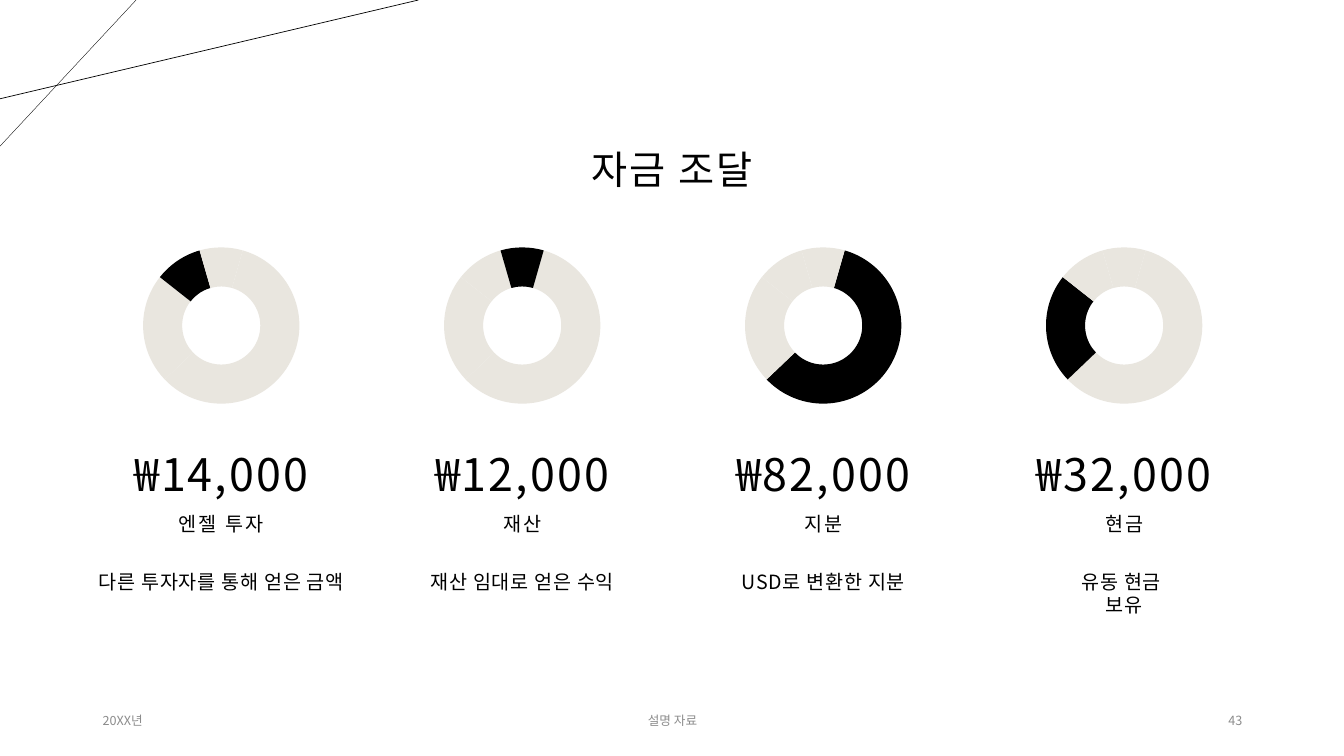
from lxml.etree import SubElement
from pptx import Presentation
from pptx.chart.data import CategoryChartData
from pptx.dml.color import RGBColor
from pptx.enum.chart import XL_CHART_TYPE as ChartType
from pptx.enum.shapes import MSO_CONNECTOR as Connector
from pptx.enum.text import MSO_ANCHOR as Anchor, PP_ALIGN as Align
from pptx.oxml import parse_xml
from pptx.oxml.ns import nsdecls, qn
from pptx.util import Inches, Pt

COLORS = {"ink": "000000", "ring": "E9E6DF", "footer": "8C8C8C"}
TEXT_FONT = "Noto Sans CJK KR"
CHART_FONT = "Lato"

TITLE = "자금 조달"
SHARES = {"1": 59, "2": 23, "3": 10, "4": 9}
SOURCES = [
    ("₩14,000", "엔젤 투자", "다른 투자자를 통해 얻은 금액", "3"),
    ("₩12,000", "재산", "재산 임대로 얻은 수익", "4"),
    ("₩82,000", "지분", "USD로 변환한 지분", "1"),
    ("₩32,000", "현금", "유동 현금 \n보유", "2"),
]
FOOTERS = [
    ("20XX년", 0.92, 3, Align.LEFT),
    ("설명 자료", 4.42, 4.5, Align.CENTER),
    ("43", 9.42, 3, Align.RIGHT),
]
CORNER_LINES = [((1.35, 0), (0, 1.45), 0.25), ((4.15, 0), (0, 0.98), 0.5)]

COLUMN_LEFT, COLUMN_STEP, COLUMN_WIDTH = 0.92, 2.985, 2.55
CHART_TOP, CHART_WIDTH, CHART_HEIGHT = 2.32, 2.03, 1.82
RING_SIZE = 1.55


def rgb(name):
    return RGBColor.from_string(COLORS[name])


def add_text(slide, text, box, size, align=Align.CENTER, anchor=Anchor.MIDDLE,
             color="ink", tracking=0, line_spacing=None, before=0, inset=0.1):
    text_box = slide.shapes.add_textbox(*map(Inches, box))
    frame = text_box.text_frame
    frame.word_wrap = True
    frame.vertical_anchor = anchor
    frame.margin_left = frame.margin_right = Inches(inset)
    paragraph = frame.paragraphs[0]
    paragraph.text = text
    paragraph.alignment = align
    paragraph.line_spacing = line_spacing
    paragraph.space_before = Pt(before)
    paragraph.font.size = Pt(size)
    paragraph.font.name = TEXT_FONT
    paragraph.font.color.rgb = rgb(color)
    defaults = paragraph._p.pPr.find(qn("a:defRPr"))
    defaults.set("spc", str(int(tracking * 100)))
    SubElement(defaults, qn("a:ea"), typeface=TEXT_FONT)


def add_corner_line(slide, start, end, width):
    line = slide.shapes.add_connector(
        Connector.STRAIGHT, *map(Inches, start + end))
    line.line.color.rgb = rgb("ink")
    line.line.width = Pt(width)
    SubElement(line._element.spPr, qn("a:effectLst"))


def add_ring(slide, left, highlighted):
    data = CategoryChartData()
    data.categories = list(SHARES)
    data.add_series("Series 1", list(SHARES.values()))
    box = (left, CHART_TOP, CHART_WIDTH, CHART_HEIGHT)
    chart = slide.shapes.add_chart(
        ChartType.DOUGHNUT, *map(Inches, box), data).chart
    chart.has_legend = False
    chart.has_title = False
    chart.font.name = CHART_FONT
    chart.font.size = Pt(10)
    chart.font.color.rgb = rgb("ink")
    plot = chart.plots[0]
    plot.vary_by_categories = True
    for index, category in enumerate(SHARES):
        point = plot.series[0].points[index]
        point.format.fill.solid()
        point.format.fill.fore_color.rgb = rgb(
            "ink" if category == highlighted else "ring")
        point.format.line.fill.background()
    doughnut = plot._element
    doughnut.find(qn("c:firstSliceAng")).set("val", "16")
    doughnut.find(qn("c:holeSize")).set("val", "80")
    width, height = RING_SIZE / CHART_WIDTH, RING_SIZE / CHART_HEIGHT
    places = {"x": (1 - width) / 2, "y": (1 - height) / 2,
              "w": width, "h": height}
    values = "".join(f'<c:{key} val="{value:.3f}"/>'
                     for key, value in places.items())
    layout = parse_xml(
        f'<c:layout {nsdecls("c")}><c:manualLayout>'
        '<c:layoutTarget val="inner"/><c:xMode val="edge"/>'
        f'<c:yMode val="edge"/>{values}</c:manualLayout></c:layout>')
    plot_area = doughnut.getparent()
    for old_layout in plot_area.findall(qn("c:layout")):
        plot_area.remove(old_layout)
    plot_area.insert(0, layout)


def main():
    presentation = Presentation()
    presentation.slide_width = Inches(13.33)
    presentation.slide_height = Inches(7.5)
    slide = presentation.slides.add_slide(presentation.slide_layouts[6])

    for start, end, width in CORNER_LINES:
        add_corner_line(slide, start, end, width)
    add_text(slide, TITLE, (2.06, 0.98, 9.21, 1.45), 28,
             tracking=1.5, line_spacing=0.9)

    for column, (amount, name, detail, highlighted) in enumerate(SOURCES):
        left = COLUMN_LEFT + column * COLUMN_STEP
        add_ring(slide, left + (COLUMN_WIDTH - CHART_WIDTH) / 2, highlighted)
        for text, top, height, size in ((amount, 4.14, 0.88, 32),
                                        (name, 4.88, 0.48, 14)):
            add_text(slide, text, (left, top, COLUMN_WIDTH, height), size,
                     anchor=Anchor.BOTTOM, tracking=1.5, line_spacing=0.9,
                     before=10, inset=0)
        add_text(slide, detail, (left, 5.6, COLUMN_WIDTH, 0.93), 14,
                 anchor=Anchor.TOP, tracking=0.5, before=10, inset=0)

    for text, left, width, align in FOOTERS:
        add_text(slide, text, (left, 6.95, width, 0.4), 9,
                 align=align, color="footer")

    presentation.save("out.pptx")


if __name__ == "__main__":
    main()
